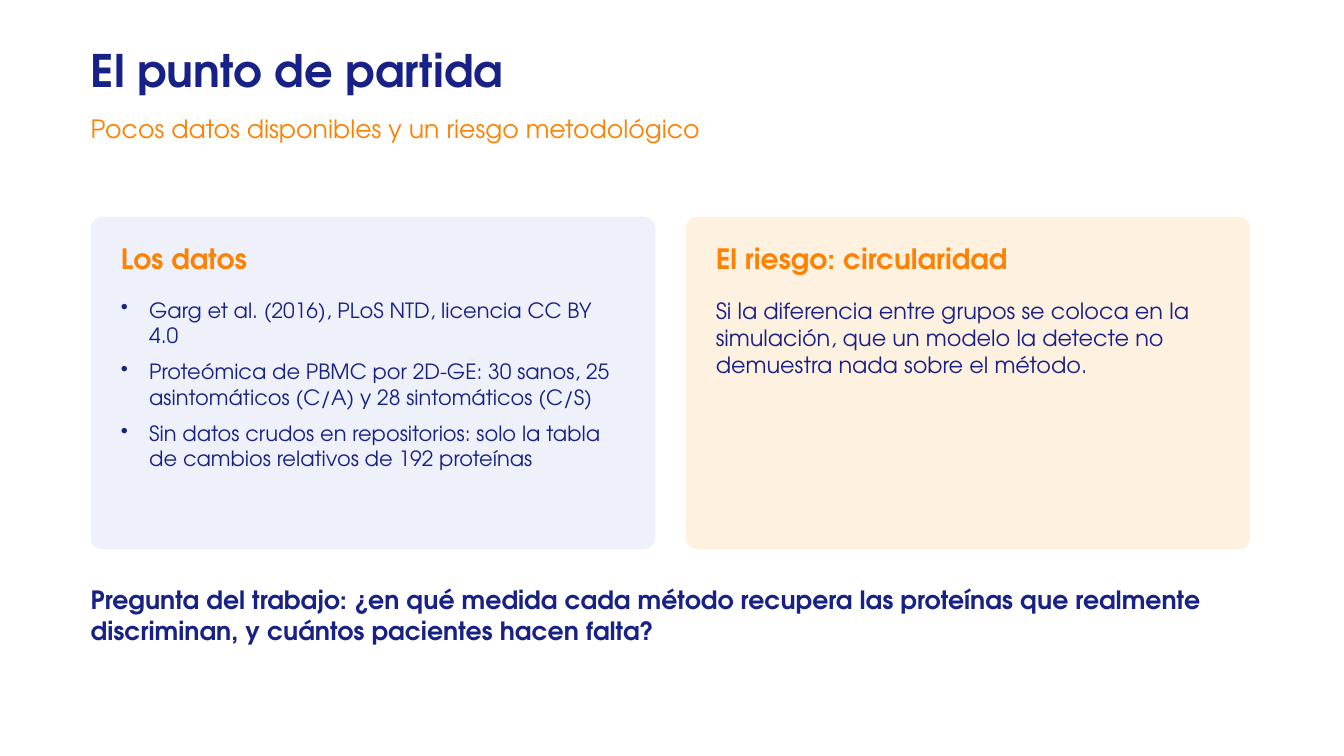
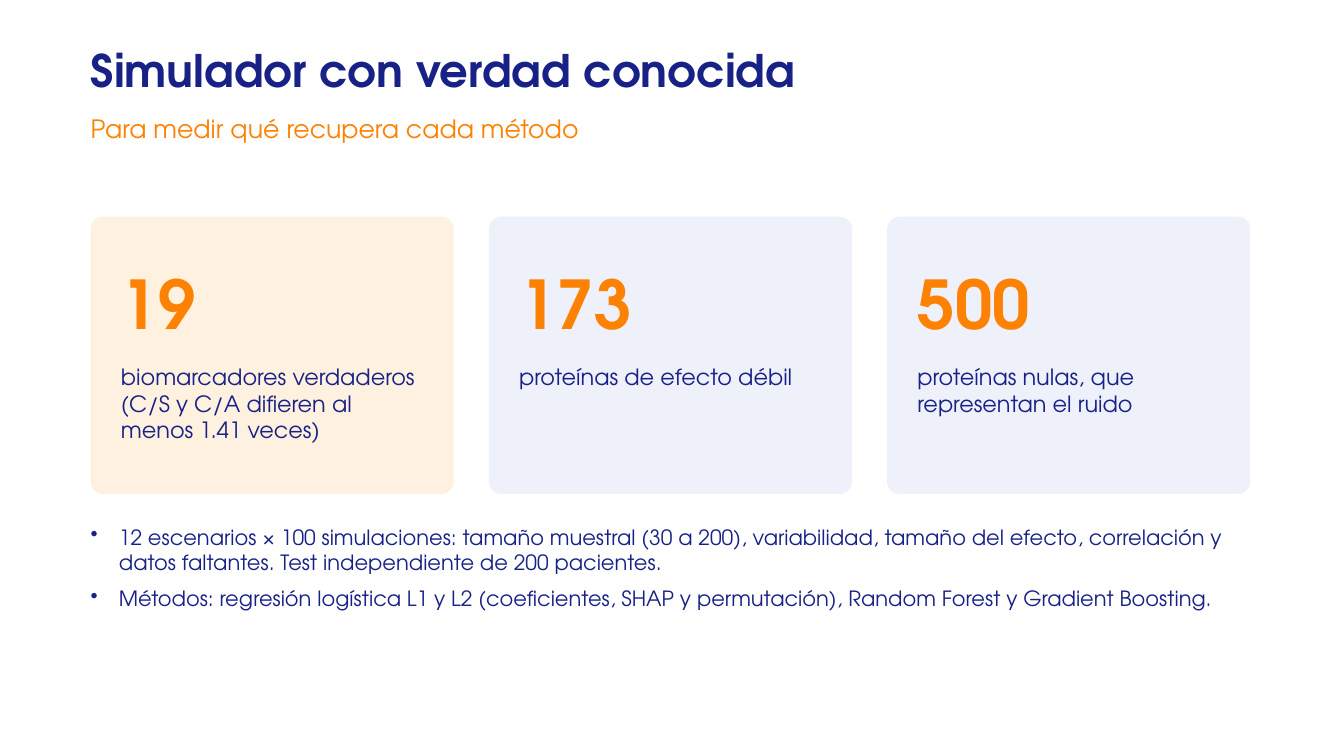
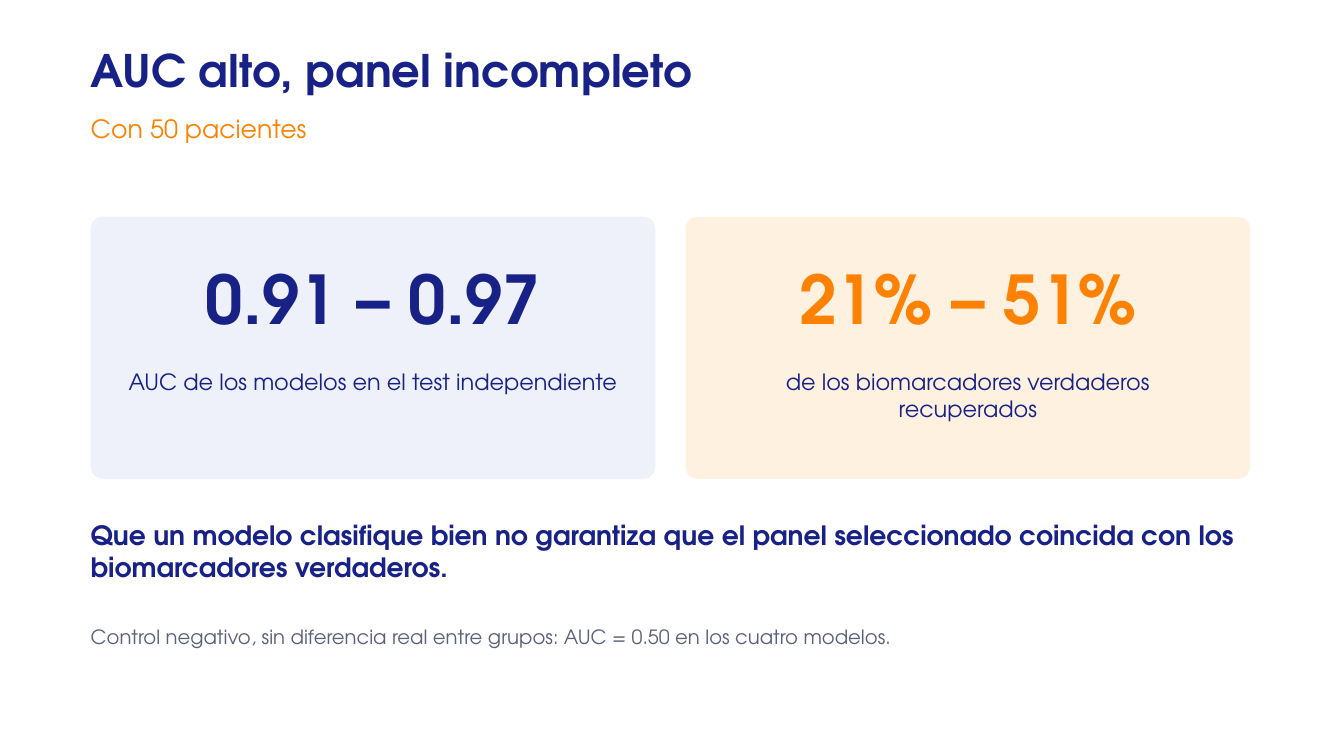
from dataclasses import dataclass

import lxml.etree
import pptx
import pptx.dml.color
import pptx.enum.shapes
import pptx.enum.text
import pptx.oxml.ns
import pptx.presentation
import pptx.slide
import pptx.util

Inches = pptx.util.Inches
Color = pptx.dml.color.RGBColor
Align = pptx.enum.text.PP_ALIGN
Anchor = pptx.enum.text.MSO_ANCHOR


# Theme: colours, type sizes and the page grid
@dataclass(frozen=True)
class Theme:
    font: str = "TeX Gyre Adventor"
    navy: str = "172186"
    orange: str = "FD8204"
    gray: str = "5A5F7A"
    mist: str = "EEF0FA"
    peach: str = "FFF1E0"
    title: float = 32
    sub: float = 18
    head: float = 20
    big: float = 48
    body: float = 16
    item: float = 15
    ask: float = 18
    claim: float = 19
    note: float = 14
    left: float = 0.9
    width: float = 11.5
    top: float = 2.15
    pad: float = 0.3
    round: float = 0.12
    indent: float = 0.28


THEME = Theme()


@dataclass(frozen=True)
class Box:
    x: float
    y: float
    w: float
    h: float

    def inner(self, y: float, h: float) -> "Box":
        """Padded part of a card, y measured from its top."""
        return Box(self.x + THEME.pad, self.y + y, self.w - 2 * THEME.pad, h)


@dataclass(frozen=True)
class Style:
    size: float
    color: str = THEME.navy
    bold: bool = False
    center: bool = False
    middle: bool = False
    bullet: bool = False


@dataclass(frozen=True)
class Card:
    fill: str
    head: str
    text: str
    style: Style


# Shared drawing functions
def write(slide: pptx.slide.Slide, box: Box, text: str, style: Style) -> None:
    shape = slide.shapes.add_textbox(
        Inches(box.x), Inches(box.y), Inches(box.w), Inches(box.h))
    frame = shape.text_frame
    frame.word_wrap = True
    frame.auto_size = pptx.enum.text.MSO_AUTO_SIZE.SHAPE_TO_FIT_TEXT
    frame.margin_left = frame.margin_right = 0
    frame.margin_top = frame.margin_bottom = 0
    frame.vertical_anchor = Anchor.MIDDLE if style.middle else Anchor.TOP
    frame.text = text
    for para in frame.paragraphs:
        if style.bullet:
            mark(para)
        para.alignment = Align.CENTER if style.center else Align.LEFT
        para.space_after = pptx.util.Pt(8 if style.bullet else 6)
        for run in para.runs:
            run.font.name = THEME.font
            run.font.size = pptx.util.Pt(style.size)
            run.font.bold = style.bold
            run.font.color.rgb = Color.from_string(style.color)


def mark(para) -> None:
    """Give a paragraph a hanging bullet."""
    props = para._p.get_or_add_pPr()
    props.set("marL", str(Inches(THEME.indent)))
    props.set("indent", str(-Inches(THEME.indent)))
    bullet = lxml.etree.SubElement(props, pptx.oxml.ns.qn("a:buChar"))
    bullet.set("char", "•")


def panel(slide: pptx.slide.Slide, box: Box, fill: str) -> None:
    shape = slide.shapes.add_shape(
        pptx.enum.shapes.MSO_SHAPE.ROUNDED_RECTANGLE,
        Inches(box.x), Inches(box.y), Inches(box.w), Inches(box.h))
    shape.adjustments[0] = THEME.round / min(box.w, box.h)
    shape.shadow.inherit = False
    shape.fill.solid()
    shape.fill.fore_color.rgb = Color.from_string(fill)
    shape.line.fill.background()


def row(count: int, gap: float, height: float) -> list[Box]:
    """Equal boxes across the text width."""
    wide = (THEME.width - gap * (count - 1)) / count
    return [Box(THEME.left + i * (wide + gap), THEME.top, wide, height)
            for i in range(count)]


def line(y: float, h: float) -> Box:
    return Box(THEME.left, y, THEME.width, h)


def start(deck: pptx.presentation.Presentation, title: str,
          sub: str) -> pptx.slide.Slide:
    slide = deck.slides.add_slide(deck.slide_layouts[6])
    write(slide, Box(THEME.left, 0.42, 10.2, 0.7), title,
          Style(THEME.title, bold=True))
    write(slide, Box(THEME.left, 1.12, 10.2, 0.45), sub,
          Style(THEME.sub, THEME.orange))
    return slide


ITEM = Style(THEME.item, bullet=True)
BODY = Style(THEME.body)


# Slide 1: the data and the risk
def origin(deck: pptx.presentation.Presentation) -> None:
    slide = start(deck, "El punto de partida",
                  "Pocos datos disponibles y un riesgo metodológico")
    data = "\n".join([
        "Garg et al. (2016), PLoS NTD, licencia CC BY 4.0",
        "Proteómica de PBMC por 2D-GE: 30 sanos, 25 asintomáticos (C/A) "
        "y 28 sintomáticos (C/S)",
        "Sin datos crudos en repositorios: solo la tabla de cambios "
        "relativos de 192 proteínas",
    ])
    risk = ("Si la diferencia entre grupos se coloca en la simulación, que un "
            "modelo la detecte no demuestra nada sobre el método.")
    cards = [Card(THEME.mist, "Los datos", data, ITEM),
             Card(THEME.peach, "El riesgo: circularidad", risk, BODY)]
    for box, card in zip(row(2, 0.3, 3.3), cards):
        panel(slide, box, card.fill)
        write(slide, box.inner(0.25, 0.4), card.head,
              Style(THEME.head, THEME.orange, bold=True))
        write(slide, box.inner(0.8, 2.4), card.text, card.style)
    write(slide, line(5.8, 1),
          "Pregunta del trabajo: ¿en qué medida cada método recupera las "
          "proteínas que realmente discriminan, y cuántos pacientes hacen "
          "falta?", Style(THEME.ask, bold=True))


# Slide 2: the simulator in three figures
def model(deck: pptx.presentation.Presentation) -> None:
    slide = start(deck, "Simulador con verdad conocida",
                  "Para medir qué recupera cada método")
    big = Style(THEME.big, THEME.orange, bold=True, middle=True)
    cards = [
        Card(THEME.peach, "19", "biomarcadores verdaderos (C/S y C/A difieren "
             "al menos 1.41 veces)", big),
        Card(THEME.mist, "173", "proteínas de efecto débil", big),
        Card(THEME.mist, "500", "proteínas nulas, que representan el ruido",
             big),
    ]
    for box, card in zip(row(3, 0.35, 2.75), cards):
        panel(slide, box, card.fill)
        write(slide, box.inner(0.3, 1.1), card.head, card.style)
        write(slide, box.inner(1.45, 1.1), card.text, BODY)
    write(slide, line(5.2, 1.6), "\n".join([
        "12 escenarios × 100 simulaciones: tamaño muestral (30 a 200), "
        "variabilidad, tamaño del efecto, correlación y datos faltantes. "
        "Test independiente de 200 pacientes.",
        "Métodos: regresión logística L1 y L2 (coeficientes, SHAP y "
        "permutación), Random Forest y Gradient Boosting.",
    ]), ITEM)


# Slide 3: model score against recovered panel
def result(deck: pptx.presentation.Presentation) -> None:
    slide = start(deck, "AUC alto, panel incompleto", "Con 50 pacientes")
    cards = [
        Card(fill, head, text,
             Style(THEME.big, color, bold=True, center=True, middle=True))
        for fill, color, head, text in [
            (THEME.mist, THEME.navy, "0.91 – 0.97",
             "AUC de los modelos en el test independiente"),
            (THEME.peach, THEME.orange, "21% – 51%",
             "de los biomarcadores verdaderos recuperados"),
        ]
    ]
    for box, card in zip(row(2, 0.3, 2.6), cards):
        panel(slide, box, card.fill)
        write(slide, Box(box.x, box.y + 0.2, box.w, 1.2), card.head,
              card.style)
        write(slide, box.inner(1.5, 0.9), card.text,
              Style(THEME.body, center=True))
    write(slide, line(5.15, 0.9),
          "Que un modelo clasifique bien no garantiza que el panel "
          "seleccionado coincida con los biomarcadores verdaderos.",
          Style(THEME.claim, bold=True))
    write(slide, line(6.2, 0.4),
          "Control negativo, sin diferencia real entre grupos: AUC = 0.50 en "
          "los cuatro modelos.", Style(THEME.note, THEME.gray))


def main() -> None:
    deck = pptx.Presentation()
    deck.slide_width = Inches(13.33)
    deck.slide_height = Inches(7.5)
    for draw in (origin, model, result):
        draw(deck)
    deck.save("out.pptx")


if __name__ == "__main__":
    main()
